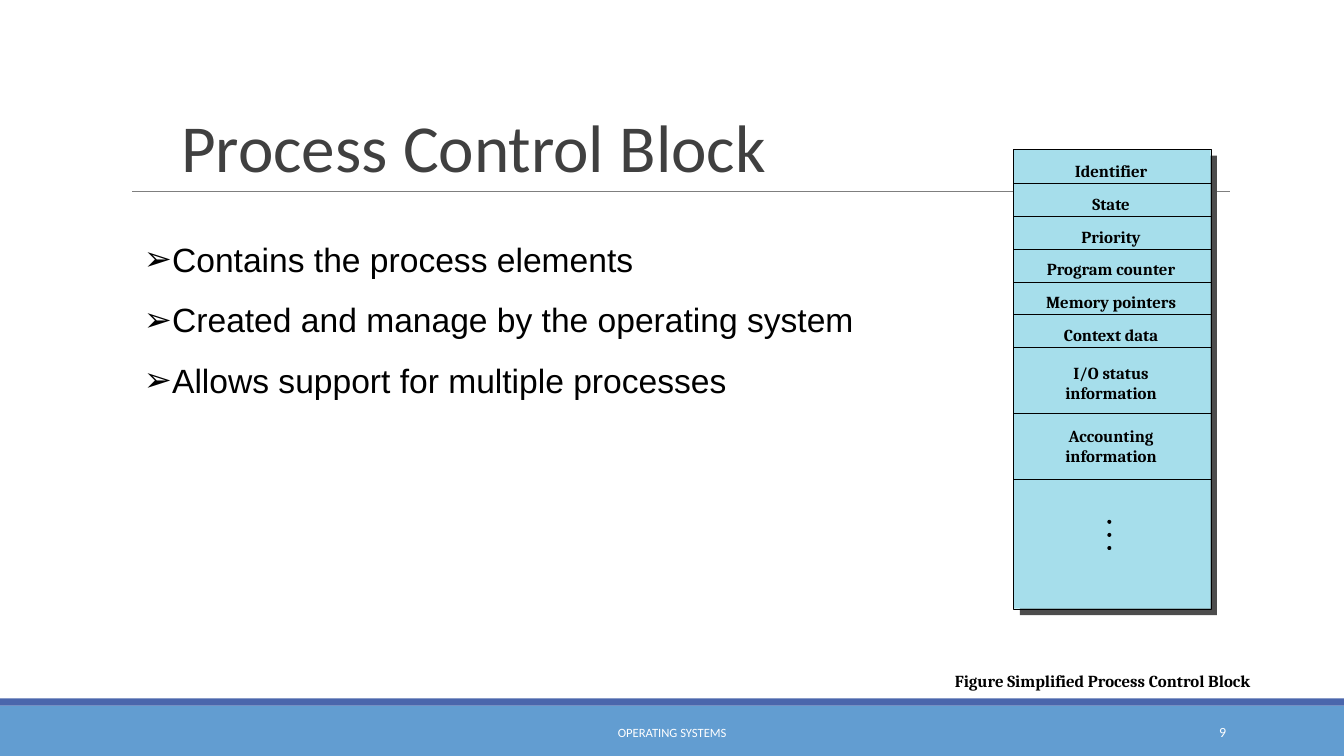
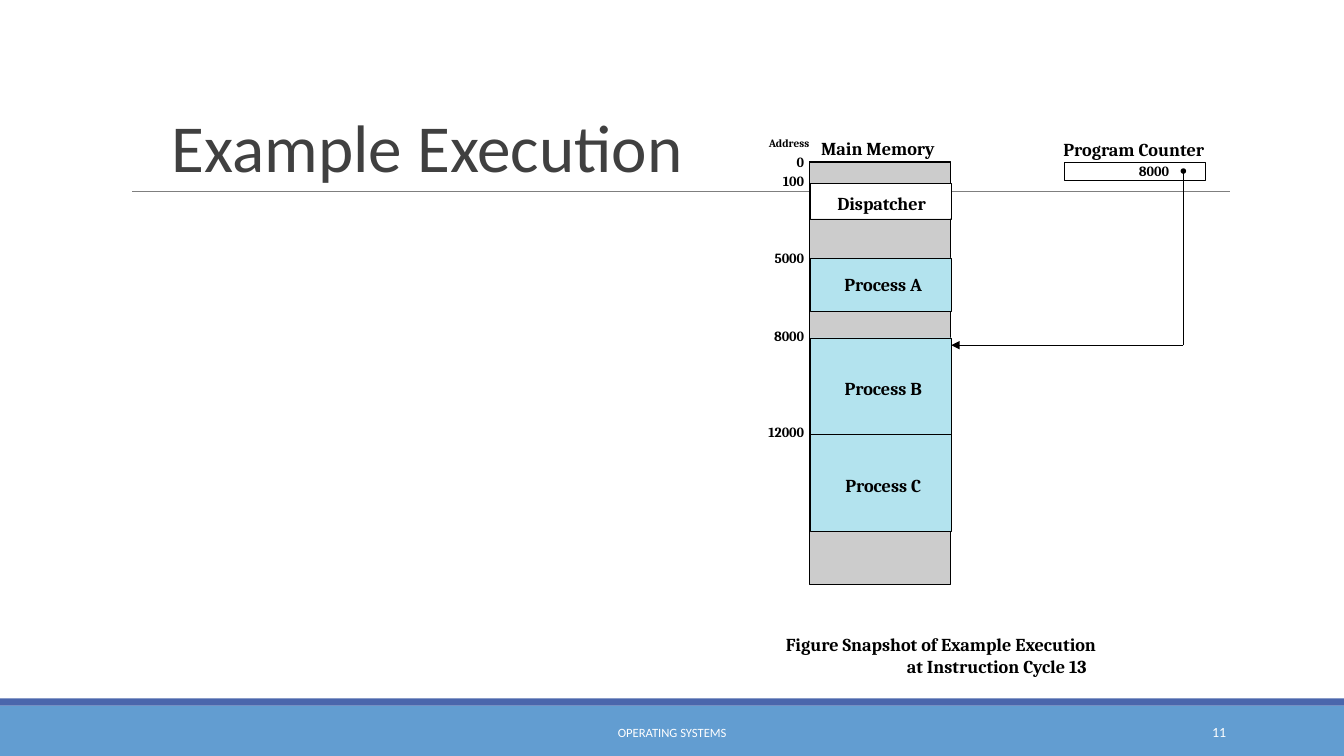
from dataclasses import dataclass

from lxml import etree
from pptx import Presentation
from pptx import util as u
from pptx.dml.color import RGBColor
from pptx.enum import shapes, text
from pptx.oxml import ns

Cm = u.Cm
ALIGN, ANCHOR, SHAPE = text.PP_ALIGN, text.MSO_ANCHOR, shapes.MSO_SHAPE


@dataclass(frozen=True)
class Font:
    name: str
    size: float
    colour: str = "000000"
    bold: bool = False


@dataclass(frozen=True)
class Theme:
    band: str = "629DD1"
    strip: str = "4A66AC"
    rule: str = "7F7F7F"
    ink: str = "000000"
    block: str = "A6DEEB"
    block_shadow: str = "4C4C4C"
    memory: str = "CCCCCC"
    process: str = "B3E3EE"
    white: str = "FFFFFF"
    hairline: float = 0.1
    title: Font = Font("Calibri", 48, "404040")
    body: Font = Font("Arial", 24)
    footer: Font = Font("Calibri", 9, "FFFFFF")
    number: Font = Font("Calibri", 10, "FFFFFF")
    field: Font = Font("Cambria", 12, bold=True)
    memory_label: Font = Font("Cambria", 13, bold=True)
    address: Font = Font("Cambria", 10, bold=True)
    address_head: Font = Font("Cambria", 8, bold=True)


T = Theme()


def rgb(colour):
    return RGBColor.from_string(colour)


def write(sp, lines, font, align=ALIGN.LEFT, anchor=ANCHOR.TOP,
          inset=(0, 0, 0, 0), spacing=None):
    """Fill a shape with one paragraph a line; inset is left, top, right, bottom in cm."""
    tf = sp.text_frame
    tf.word_wrap = True
    tf.vertical_anchor = anchor
    tf.margin_left, tf.margin_top, tf.margin_right, tf.margin_bottom = map(Cm, inset)
    for i, line in enumerate(lines):
        p = tf.add_paragraph() if i else tf.paragraphs[0]
        p.alignment = align
        if spacing:
            p.line_spacing = spacing
        r = p.add_run()
        r.text = line
        r.font.name, r.font.size, r.font.bold = font.name, u.Pt(font.size), font.bold
        r.font.color.rgb = rgb(font.colour)
    return tf


def add_text(s, x, y, w, h, lines, font, **style):
    sp = s.shapes.add_textbox(Cm(x), Cm(y), Cm(w), Cm(h))
    return write(sp, lines, font, **style)


def add_box(s, x, y, w, h, fill=None, line=None, kind=SHAPE.RECTANGLE):
    sp = s.shapes.add_shape(kind, Cm(x), Cm(y), Cm(w), Cm(h))
    sp.shadow.inherit = False
    if fill:
        sp.fill.solid()
        sp.fill.fore_color.rgb = rgb(fill)
    else:
        sp.fill.background()
    if line:
        sp.line.color.rgb = rgb(line)
        sp.line.width = u.Pt(T.hairline)
    else:
        sp.line.fill.background()
    return sp


def add_line(s, x1, y1, x2, y2, colour=T.ink, width=T.hairline, head=None, tail=None):
    """Draw a straight line; head and tail are (type, size) of the end marks."""
    cn = s.shapes.add_connector(shapes.MSO_CONNECTOR.STRAIGHT,
                                Cm(x1), Cm(y1), Cm(x2), Cm(y2))
    cn.line.color.rgb = rgb(colour)
    cn.line.width = u.Pt(width)
    ln = cn.line._get_or_add_ln()
    for tag, mark in (("a:headEnd", head), ("a:tailEnd", tail)):
        if mark:
            kind, size = mark
            etree.SubElement(ln, ns.qn(tag), type=kind, w=size, len=size)
    etree.SubElement(cn._element.spPr, ns.qn("a:effectLst"))


def add_bullets(s, x, y, w, h, lines):
    tf = add_text(s, x, y, w, h, lines, T.body, inset=(0.25, 0.13, 0.25, 0.13),
                  spacing=1.5)
    for p in tf.paragraphs:
        pPr = p._p.get_or_add_pPr()
        clr = etree.SubElement(pPr, ns.qn("a:buClr"))
        etree.SubElement(clr, ns.qn("a:srgbClr"), val=T.ink)
        etree.SubElement(pPr, ns.qn("a:buFont"), typeface=T.body.name)
        etree.SubElement(pPr, ns.qn("a:buChar"), char="➢")


def add_slide(prs, title, title_x, number):
    """Add a slide with the shared bands, rule, title and footer."""
    s = prs.slides.add_slide(prs.slide_layouts[6])
    add_box(s, 0, 17.78, 33.88, 1.27, T.band)
    add_box(s, 0, 17.6, 33.88, 0.18, T.strip)
    add_line(s, 3.33, 4.83, 31, 4.83, T.rule, 0.5)
    inset = (0.25, 0.13, 0.25, 0.13)
    add_text(s, title_x, 0.79, 26.64, 4.04, [title], T.title,
             anchor=ANCHOR.BOTTOM, inset=inset, spacing=0.85)
    add_text(s, 27.53, 17.94, 3.63, 1.02, [str(number)], T.number,
             align=ALIGN.RIGHT, anchor=ANCHOR.MIDDLE, inset=inset)
    add_text(s, 10.25, 17.95, 13.39, 1.02, ["OPERATING SYSTEMS"], T.footer,
             align=ALIGN.CENTER, anchor=ANCHOR.MIDDLE, inset=inset)
    return s


def add_control_block(s, x, y, w, h):
    fields = [
        (1, 0.2, ["Identifier"]), (1, 0.2, ["State"]), (1, 0.2, ["Priority"]),
        (1, 0.2, ["Program counter"]), (1, 0.2, ["Memory pointers"]),
        (1, 0.2, ["Context data"]),
        (2, 0.12, ["I/O status", "information"]),
        (2, 0, ["Accounting", "information"]),
    ]
    rest = 4
    unit = h / (sum(units for units, _, _ in fields) + rest)
    add_box(s, x + 0.16, y + 0.16, w, h, T.block_shadow)
    add_box(s, x, y, w, h, T.block, T.ink)
    top = y + 0.03
    for units, inset, lines in fields:
        height = units * unit
        add_text(s, x, top, w, height, lines, T.field, align=ALIGN.CENTER,
                 anchor=ANCHOR.MIDDLE, inset=(0, inset, 0.05, 0))
        top += height
        add_line(s, x, top, x + w, top)
    dot, pitch = 0.1, 0.33
    for i in range(3):
        add_box(s, x + w / 2 - 0.12, 13.1 + i * pitch, dot, dot, T.ink, kind=SHAPE.OVAL)


def add_memory(s, x, y, w, h):
    add_box(s, x, y, w, h, T.memory, T.ink)
    add_line(s, x + w, y + 0.02, x, y + 0.02)
    add_text(s, x, y - 0.61, w - 0.1, 0.56, ["Main Memory"], T.memory_label,
             align=ALIGN.CENTER)
    add_text(s, x - 1.02, y - 0.63, 1.4, 0.33, ["Address"], T.address_head)
    cells = [
        ("100", 4.62, 0.89, "Dispatcher", T.white, 0.05, 0.1),
        ("5000", 6.5, 1.34, "Process A", T.process, 0.13, 0),
        ("8000", 8.51, 2.44, "Process B", T.process, 0.13, 0.1),
        ("12000", 10.95, 2.44, "Process C", T.process, 0.13, 0.1),
    ]
    for _, top, height, name, fill, left, above in cells:
        sp = add_box(s, x + 0.02, top, w, height, fill, T.ink)
        write(sp, [name], T.memory_label, align=ALIGN.CENTER,
              anchor=ANCHOR.MIDDLE, inset=(left, above, 0, 0))
    addresses = [("0", 3.86), ("100", 4.34), ("5000", 6.3), ("8000", 8.26),
                 ("12000", 10.67)]
    for address, top in addresses:
        add_text(s, x - 1.53, top, 1.4, 0.43, [address], T.address, align=ALIGN.RIGHT)


def add_program_counter(s, x, y, w, h, memory_right):
    sp = add_box(s, x, y, w, h, line=T.ink)
    write(sp, ["8000"], T.address, align=ALIGN.RIGHT, anchor=ANCHOR.MIDDLE,
          inset=(0, 0, 0.92, 0))
    add_text(s, x - 0.23, y - 0.6, w + 0.4, 0.56, ["Program Counter"],
             T.memory_label, align=ALIGN.CENTER)
    pointer_x, target_y = x + 3, 8.7
    add_line(s, pointer_x, y + h / 2, pointer_x, target_y, head=("oval", "sm"))
    add_line(s, pointer_x, target_y, memory_right, target_y, tail=("triangle", "med"))


def control_block_slide(prs):
    s = add_slide(prs, "Process Control Block", 4.32, 9)
    add_control_block(s, 25.55, 3.76, 4.97, 11.58)
    add_text(s, 24.07, 16.89, 8.26, 0.51,
             ["Figure Simplified Process Control Block"], T.field)
    add_bullets(s, 3.38, 5.38, 20.29, 4.83, [
        "Contains the process elements",
        "Created and manage by the operating system",
        "Allows support for multiple processes",
    ])


def execution_slide(prs):
    s = add_slide(prs, "Example Execution", 4.08, 11)
    add_memory(s, 20.4, 4.06, 3.56, 10.67)
    add_program_counter(s, 26.83, 4.08, 3.56, 0.46, memory_right=23.98)
    tf = add_text(s, 19.81, 15.95, 8.71, 1.12, [
        "Figure Snapshot of Example Execution",
        "at Instruction Cycle 13",
    ], T.memory_label)
    tf.paragraphs[1]._p.get_or_add_pPr().set("marL", str(Cm(3.05)))


def main():
    prs = Presentation()
    prs.slide_width, prs.slide_height = Cm(33.88), Cm(19.05)
    control_block_slide(prs)
    execution_slide(prs)
    prs.save("out.pptx")


if __name__ == "__main__":
    main()
